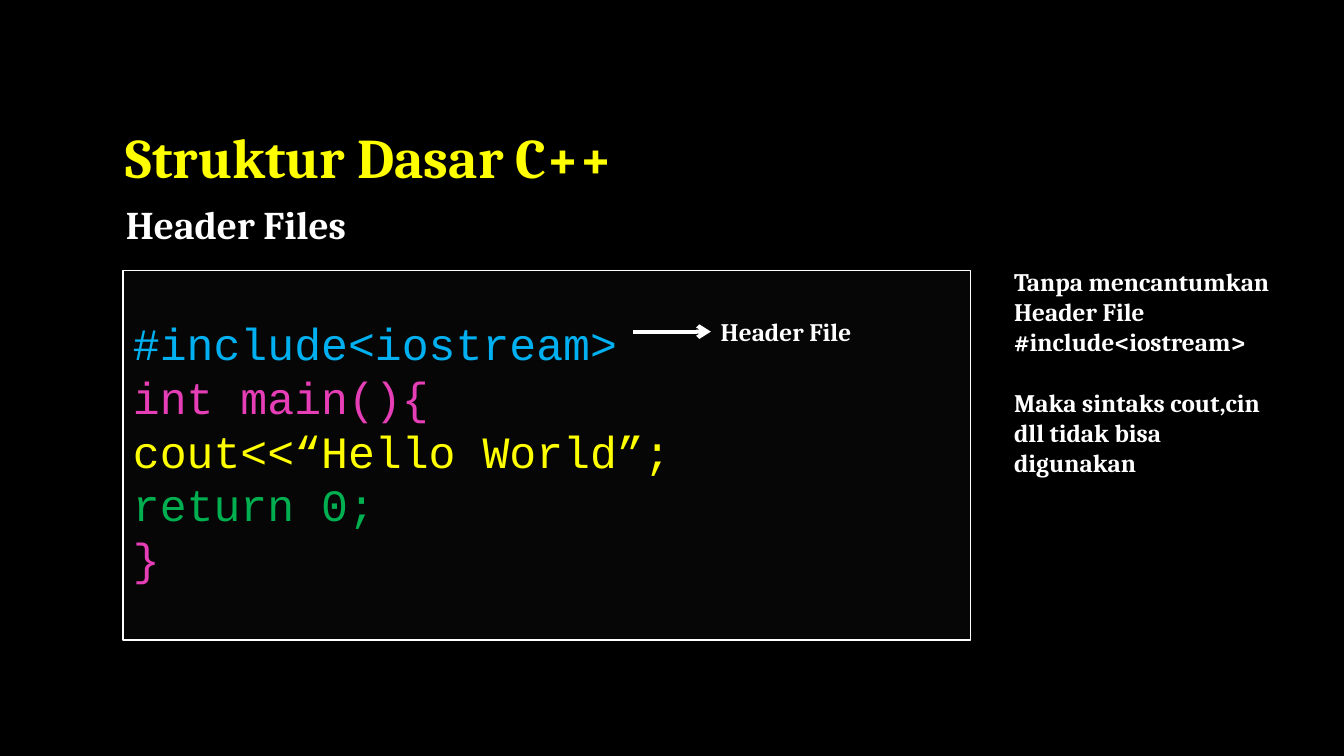
"""Build the slide that explains header files in the basic structure of C++."""
from lxml.etree import SubElement
from pptx import Presentation
from pptx.dml.color import RGBColor
from pptx.enum.shapes import MSO_CONNECTOR, MSO_SHAPE
from pptx.enum.text import MSO_ANCHOR, PP_ALIGN
from pptx.oxml.ns import qn
from pptx.util import Inches, Pt

BLACK = RGBColor(0x00, 0x00, 0x00)
WHITE = RGBColor(0xFF, 0xFF, 0xFF)
YELLOW = RGBColor(0xFF, 0xFF, 0x00)
PANEL = RGBColor(0x0D, 0x0D, 0x0D)
BLUE = RGBColor(0x00, 0xB0, 0xF0)
PINK = RGBColor(0xE6, 0x3E, 0xB6)
GREEN = RGBColor(0x00, 0xB0, 0x50)


def write_line(text_frame, text, size=18, color=WHITE, font="Cambria", bold=True,
               space_before=0, line_spacing=1.0):
    paragraph = text_frame.paragraphs[0]
    if paragraph.runs:
        paragraph = text_frame.add_paragraph()
    paragraph.alignment = PP_ALIGN.LEFT
    paragraph.line_spacing = line_spacing
    paragraph.space_before = Pt(space_before)
    run = paragraph.add_run()
    run.text = text
    run.font.size = Pt(size)
    run.font.name = font
    run.font.bold = bold
    run.font.color.rgb = color


def add_text_area(slide, left, top, width, height, anchor=MSO_ANCHOR.TOP):
    box = slide.shapes.add_textbox(Inches(left), Inches(top), Inches(width), Inches(height))
    box.text_frame.word_wrap = True
    box.text_frame.vertical_anchor = anchor
    return box.text_frame


presentation = Presentation()
presentation.slide_width = Inches(13.33)
presentation.slide_height = Inches(7.5)
slide = presentation.slides.add_slide(presentation.slide_layouts[6])
slide.background.fill.solid()
slide.background.fill.fore_color.rgb = BLACK

title = add_text_area(slide, 1.15, 0.8, 10, 1.14, MSO_ANCHOR.BOTTOM)
write_line(title, "Struktur Dasar C++", size=40, color=YELLOW, line_spacing=0.9)

subtitle = add_text_area(slide, 1.15, 1.94, 11.13, 1.04)
write_line(subtitle, "Header Files", size=28)

code_panel = slide.shapes.add_shape(
    MSO_SHAPE.RECTANGLE, Inches(1.22), Inches(2.68), Inches(8.41), Inches(3.67))
code_panel.shadow.inherit = False
code_panel.fill.solid()
code_panel.fill.fore_color.rgb = PANEL
panel_color = code_panel.fill._xPr.find(qn("a:solidFill")).find(qn("a:srgbClr"))
SubElement(panel_color, qn("a:alpha"), val="50000")
code_panel.line.color.rgb = WHITE
code_panel.line.width = Pt(0.75)
code = code_panel.text_frame
code.word_wrap = True
code.vertical_anchor = MSO_ANCHOR.BOTTOM
code.margin_bottom = Inches(0.55)
code_lines = [
    ("#include<iostream>", BLUE),
    ("int main(){", PINK),
    ("cout<<“Hello World”;", YELLOW),
    ("return 0;", GREEN),
    ("}", PINK),
]
for text, color in code_lines:
    write_line(code, text, size=32, color=color, font="Courier New", bold=False)

explanation = add_text_area(slide, 9.96, 2.59, 2.91, 2.52)
write_line(explanation, "Tanpa mencantumkan Header File #include<iostream>")
write_line(explanation, "Maka sintaks cout,cin dll tidak bisa digunakan", space_before=21.5)

arrow = slide.shapes.add_connector(
    MSO_CONNECTOR.STRAIGHT, Inches(6.28), Inches(3.29), Inches(7.05), Inches(3.29))
arrow.line.color.rgb = WHITE
arrow.line.width = Pt(3)
SubElement(arrow.line._get_or_add_ln(), qn("a:tailEnd"), type="arrow")
SubElement(arrow._element.spPr, qn("a:effectLst"))

arrow_label = add_text_area(slide, 7.05, 3.09, 2.91, 0.4)
write_line(arrow_label, "Header File")

presentation.save("out.pptx")
